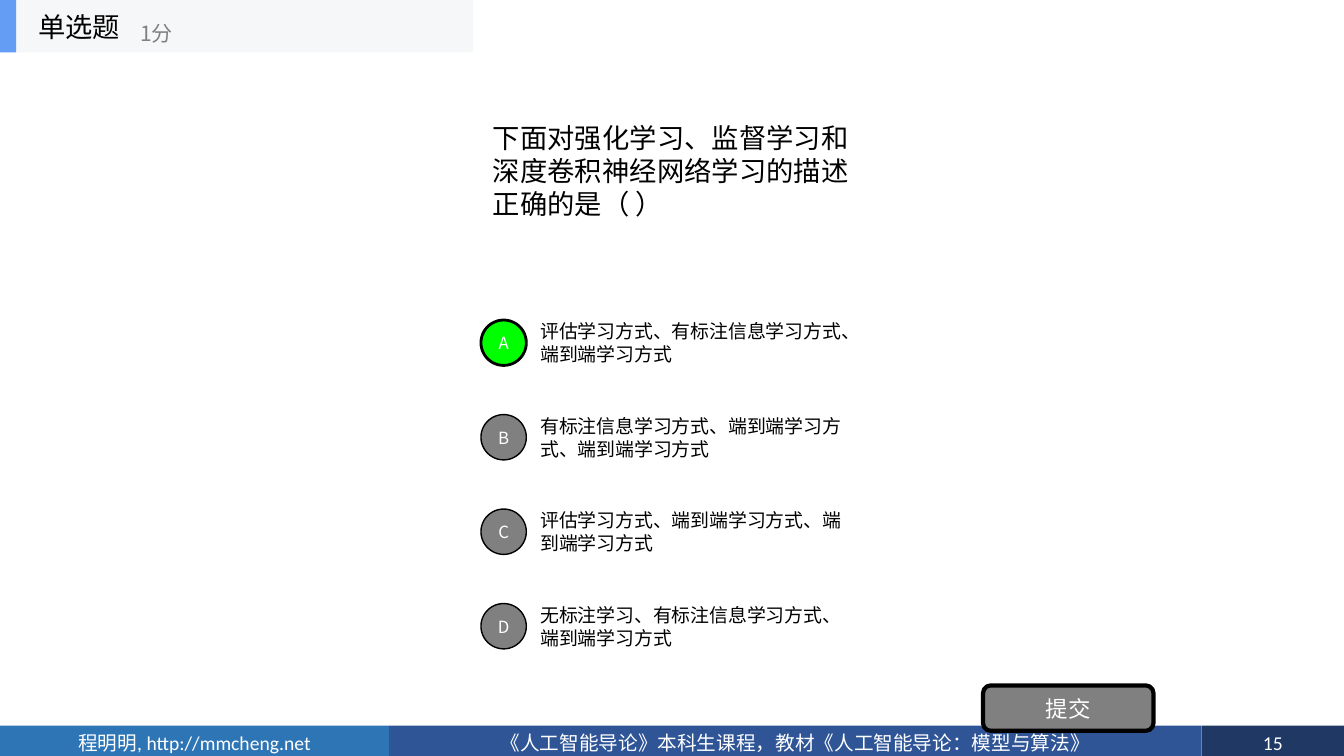
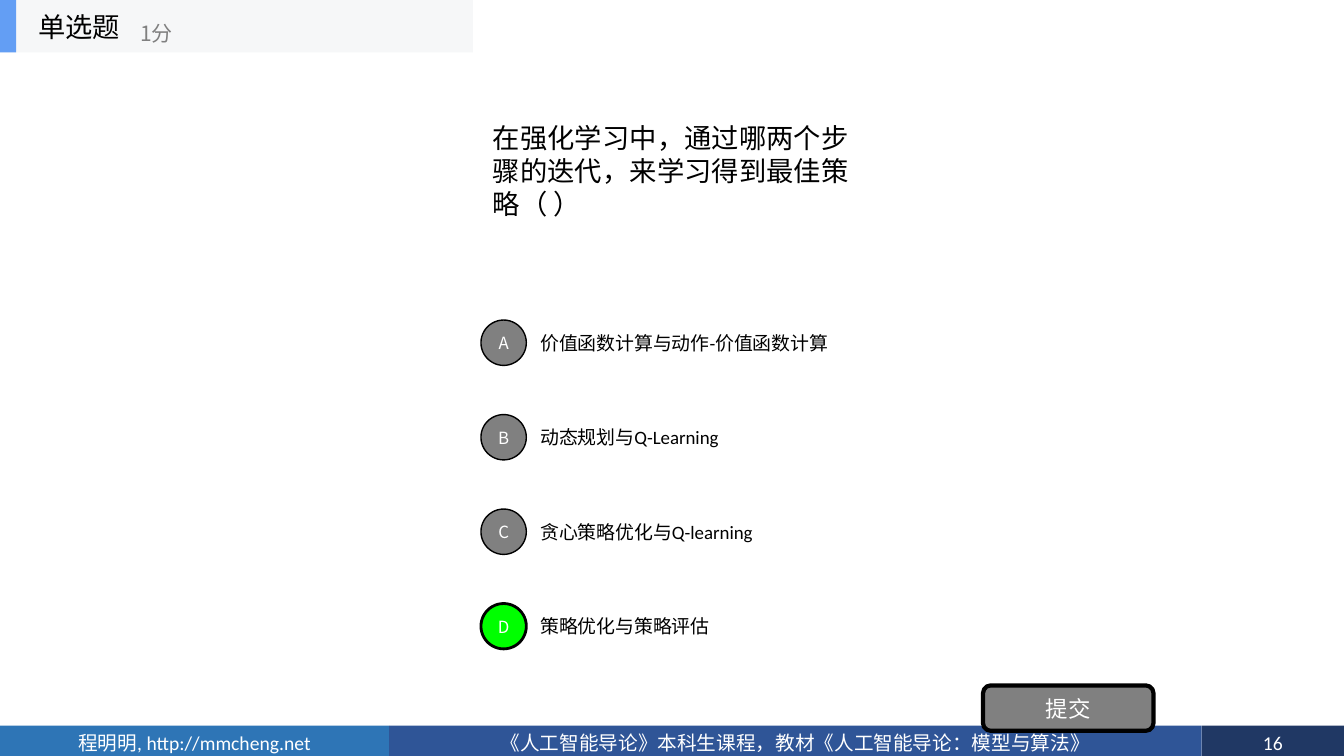
from collections import namedtuple

from lxml import etree
from pptx import Presentation, util as u
from pptx.dml import color
from pptx.enum import shapes, text
from pptx.oxml import ns

Box = namedtuple("Box", "left top width height")

COLORS = {
    "black": "000000", "white": "FFFFFF", "gray": "808080", "correct": "00FF00",
    "header": "F6F7F8", "accent": "639EF4",
    "author": "2E75B6", "course": "2F5597", "number": "203864",
}
SLIDE = Box(0, 0, 13.33, 7.5)
LATIN, CHINESE = "Calibri", "Noto Sans CJK SC"
LINE_FACTOR = 1.22
MIDDLE, TOP = text.MSO_ANCHOR.MIDDLE, text.MSO_ANCHOR.TOP
LEFT, CENTER = text.PP_ALIGN.LEFT, text.PP_ALIGN.CENTER
RECTANGLE = shapes.MSO_SHAPE.RECTANGLE
CIRCLE = shapes.MSO_SHAPE.OVAL
ROUNDED = shapes.MSO_SHAPE.ROUNDED_RECTANGLE

STYLES = {
    "footer": dict(size=14, name=LATIN, color="white", align=CENTER, anchor=TOP),
    "question": dict(size=19.5, name=CHINESE, color="black", align=LEFT, anchor=MIDDLE),
    "option": dict(size=13.5, name=LATIN, color="black", align=LEFT, anchor=MIDDLE),
    "letter": dict(size=12, name=CHINESE, color="white", align=CENTER, anchor=MIDDLE),
    "button": dict(size=16, name=CHINESE, color="white", align=CENTER, anchor=MIDDLE),
    "points": dict(size=15, name=CHINESE, color="gray", align=LEFT, anchor=MIDDLE),
}

QUESTIONS = [
    dict(
        number=15,
        question="下面对强化学习、监督学习和深度卷积神经网络学习的描述正确的是（ ）",
        options=[
            "评估学习方式、有标注信息学习方式、端到端学习方式",
            "有标注信息学习方式、端到端学习方式、端到端学习方式",
            "评估学习方式、端到端学习方式、端到端学习方式",
            "无标注学习、有标注信息学习方式、端到端学习方式",
        ],
        answer="A",
    ),
    dict(
        number=16,
        question="在强化学习中，通过哪两个步骤的迭代，来学习得到最佳策略（ ）",
        options=[
            "价值函数计算与动作-价值函数计算",
            "动态规划与Q-Learning",
            "贪心策略优化与Q-learning",
            "策略优化与策略评估",
        ],
        answer="D",
    ),
]


def rgb(name):
    return color.RGBColor.from_string(COLORS[name])


def inches(box):
    return [u.Inches(length) for length in box]


def write(shape, words, style):
    look = STYLES[style]
    frame = shape.text_frame
    margin = u.Inches(0 if style == "letter" else 0.1)
    frame_format = dict(
        word_wrap=True, vertical_anchor=look["anchor"],
        margin_left=margin, margin_right=margin,
        margin_top=u.Inches(0.05),
        margin_bottom=u.Inches(0 if style == "footer" else 0.05),
    )
    for attribute, value in frame_format.items():
        setattr(frame, attribute, value)
    paragraph = frame.paragraphs[0]
    paragraph.alignment = look["align"]
    paragraph.line_spacing = u.Pt(look["size"] * LINE_FACTOR)
    run = paragraph.add_run()
    run.text = words
    for attribute, value in dict(size=u.Pt(look["size"]), name=look["name"]).items():
        setattr(run.font, attribute, value)
    run.font.color.rgb = rgb(look["color"])
    east_asian = etree.SubElement(run._r.get_or_add_rPr(), ns.qn("a:ea"))
    east_asian.set("typeface", CHINESE)


def add_text(parent, box, words, style):
    write(parent.add_textbox(*inches(box)), words, style)


def add_block(parent, kind, box, fill, line_width=0, words=None, style=None):
    shape = parent.add_shape(kind, *inches(box))
    shape.shadow.inherit = False
    shape.fill.solid()
    shape.fill.fore_color.rgb = rgb(fill)
    if line_width:
        shape.line.color.rgb = rgb("black")
        shape.line.width = u.Pt(line_width)
    else:
        shape.line.fill.background()
    if words:
        write(shape, words, style)


def add_footer(slide, box, number):
    bands = [
        ("author", 3.86, "程明明, http://mmcheng.net"),
        ("course", 8.06, "《人工智能导论》本科生课程，教材《人工智能导论：模型与算法》"),
        ("number", 1.41, str(number)),
    ]
    left = box.left
    for fill, width, words in bands:
        band = Box(left, box.top, width, box.height)
        add_block(slide.shapes, RECTANGLE, band, fill, words=words, style="footer")
        left += width


def add_header(slide, box):
    parent = slide.shapes.add_group_shape().shapes
    add_block(parent, RECTANGLE, box, "header")
    add_block(parent, RECTANGLE, box._replace(width=0.16), "accent")
    title = box._replace(left=box.left + 0.28, width=1.56)
    add_text(parent, title, "单选题", "question")
    points = Box(box.left + 1.29, box.top + 0.12, 1.88, 0.42)
    add_text(parent, points, "1分", "points")


def add_options(slide, box, options, answer):
    pitch = box.height / len(options)
    row_height, diameter, indent = 0.7, 0.45, 0.49
    for index, (letter, words) in enumerate(zip("ABCD", options)):
        top = box.top + index * pitch
        label = Box(box.left + indent, top, box.width - indent, row_height)
        add_text(slide.shapes, label, words, "option")
        circle = Box(box.left, top + (row_height - diameter) / 2, diameter, diameter)
        fill, line_width = ("correct", 2) if letter == answer else ("gray", 1)
        add_block(slide.shapes, CIRCLE, circle, fill, line_width, letter, "letter")


def add_question_slide(presentation, number, question, options, answer):
    slide = presentation.slides.add_slide(presentation.slide_layouts[6])
    footer_height = SLIDE.height * 0.04
    footer = Box(0, SLIDE.height - footer_height, SLIDE.width, footer_height)
    add_footer(slide, footer, number)
    add_text(slide.shapes, Box(4.79, 0.52, 3.75, 2.34), question, "question")
    add_options(slide, Box(4.77, 3.05, 3.77, 3.75), options, answer)
    button = Box(9.75, 6.8, 1.69, 0.45)
    add_block(slide.shapes, ROUNDED, button, "gray", 3, "提交", "button")
    add_header(slide, Box(0, 0, 4.69, 0.52))


def main():
    presentation = Presentation()
    presentation.slide_width = u.Inches(SLIDE.width)
    presentation.slide_height = u.Inches(SLIDE.height)
    for content in QUESTIONS:
        add_question_slide(presentation, **content)
    presentation.save("out.pptx")


if __name__ == "__main__":
    main()
